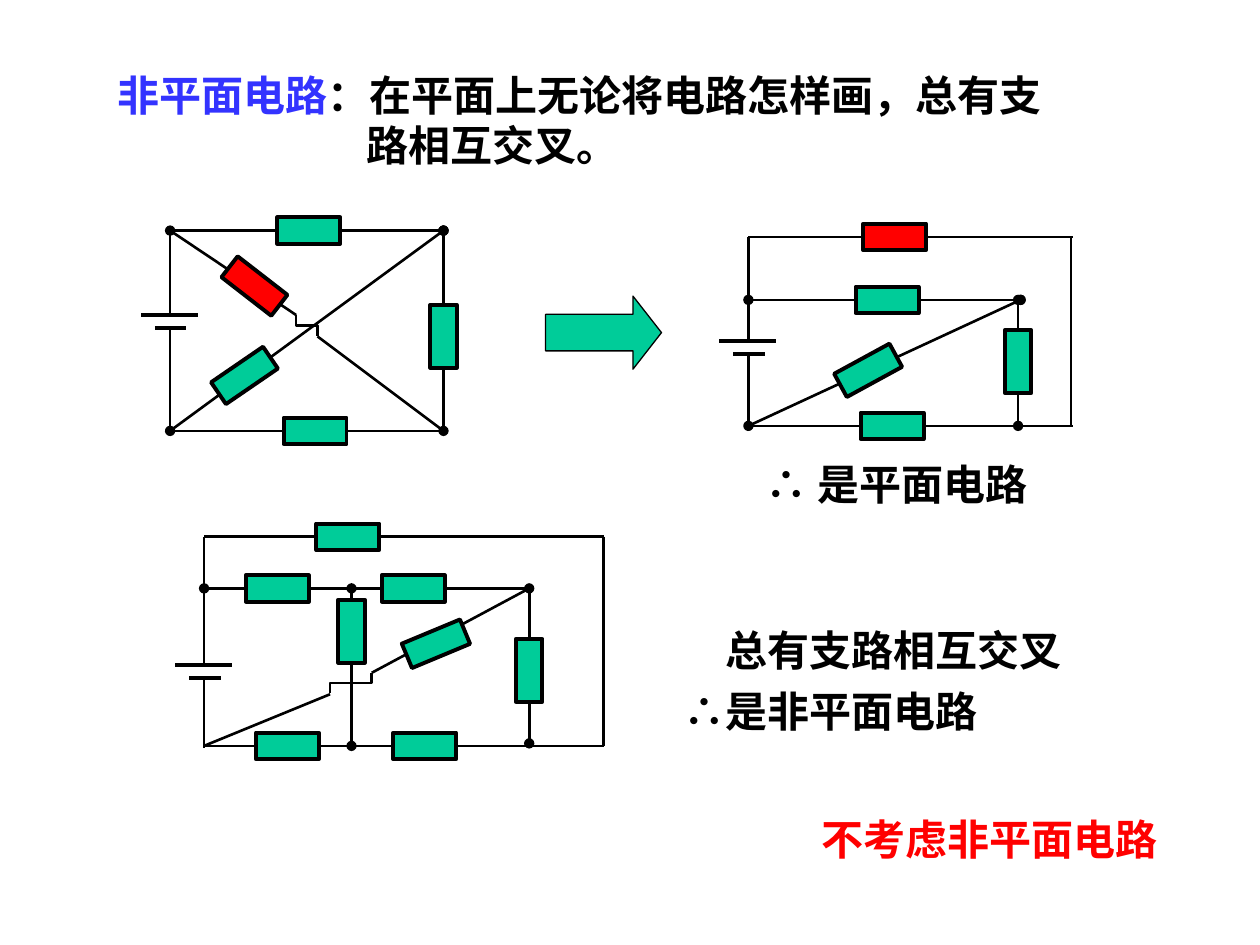
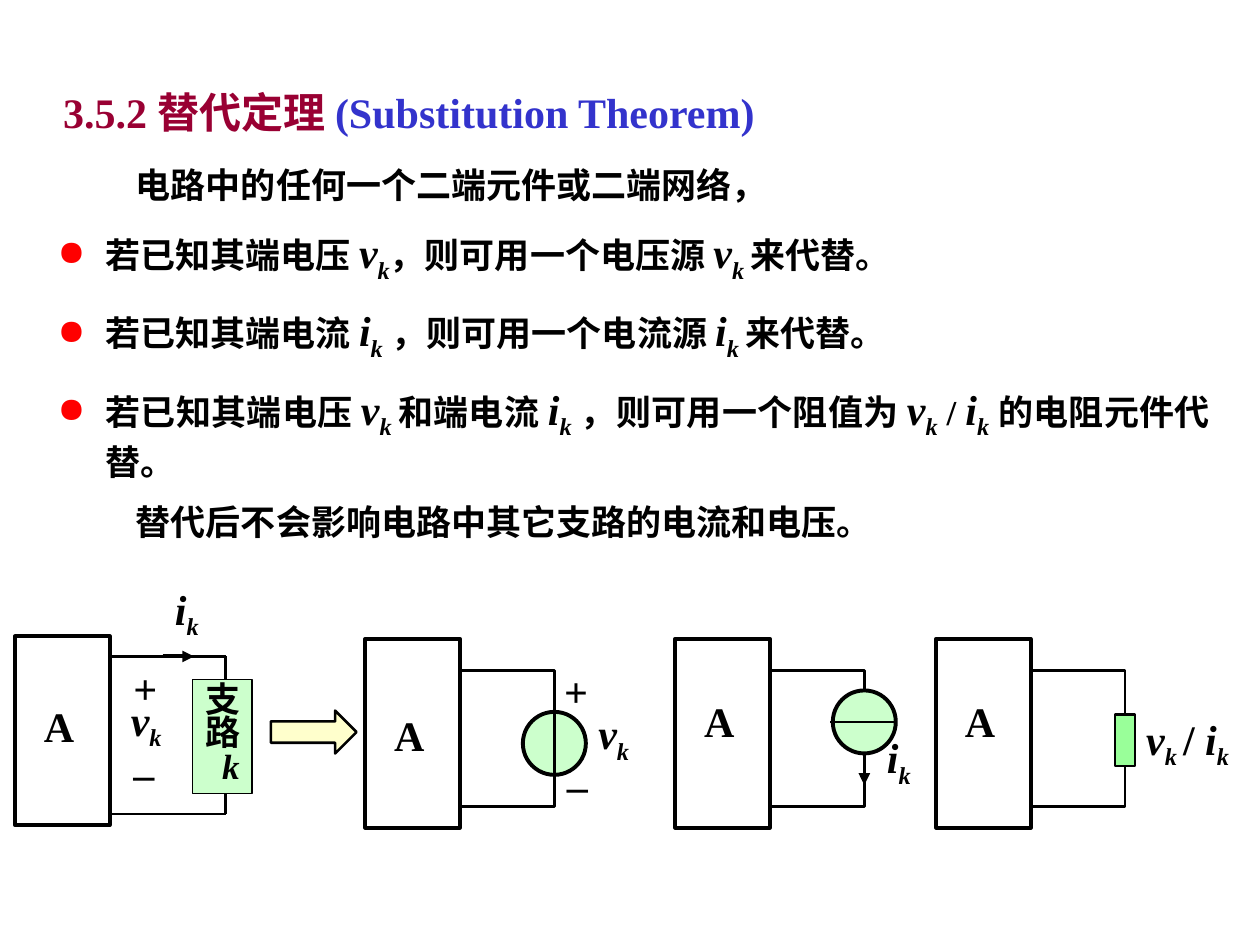
from dataclasses import dataclass
from typing import Any

from lxml.etree import SubElement
from pptx import Presentation
from pptx.dml.color import RGBColor
from pptx.enum.shapes import MSO_CONNECTOR, MSO_SHAPE
from pptx.enum.text import MSO_ANCHOR, PP_ALIGN
from pptx.oxml.ns import qn
from pptx.util import Inches, Pt

FONT = "Times New Roman"
BLACK = RGBColor(0x00, 0x00, 0x00)
RED = RGBColor(0xFF, 0x00, 0x00)
TEAL = RGBColor(0x00, 0xCC, 0x99)
TERM_BLUE = RGBColor(0x33, 0x33, 0xFF)
ENGLISH_BLUE = RGBColor(0x33, 0x33, 0xCC)
MAROON = RGBColor(0x99, 0x00, 0x33)
PALE_GREEN = RGBColor(0xCC, 0xFF, 0xCC)
MID_GREEN = RGBColor(0x99, 0xFF, 0x99)
CREAM = RGBColor(0xFF, 0xFF, 0xCC)

THIN, WIRE, BOLD = 0.75, 1.5, 2.25
LYING = 90
# A pair is an italic symbol with its subscript
VOLTAGE, CURRENT = ("v", "k"), ("i", "k")


# Text
def add_run(paragraph, text, size, color=BLACK, italic=False, subscript=False):
    run = paragraph.add_run()
    run.text = text
    font = run.font
    font.name, font.size, font.bold, font.italic = FONT, Pt(size), True, italic
    font.color.rgb = color
    if subscript:
        run._r.get_or_add_rPr().set("baseline", "-25000")


def add_parts(paragraph, parts, size=24, color=BLACK):
    for part in parts:
        if isinstance(part, tuple):
            symbol, index = part
            add_run(paragraph, symbol, 24, color, italic=True)
            add_run(paragraph, index, 24, color, italic=True, subscript=True)
        else:
            add_run(paragraph, part, size, color)


def set_indent(paragraph, left, first):
    properties = paragraph._p.get_or_add_pPr()
    properties.set("marL", str(Inches(left)))
    properties.set("indent", str(Inches(first)))
    return properties


def add_half_line_before(paragraph):
    spacing = SubElement(paragraph._p.get_or_add_pPr(), qn("a:spcBef"))
    SubElement(spacing, qn("a:spcPct")).set("val", "50000")


def add_bullet(paragraph):
    properties = set_indent(paragraph, 0.38, -0.38)
    color = SubElement(properties, qn("a:buClr"))
    SubElement(color, qn("a:srgbClr")).set("val", str(RED))
    SubElement(properties, qn("a:buChar")).set("char", "●")


def format_title(slide, box, anchor, parts):
    title = slide.shapes.title
    title.left, title.top, title.width, title.height = map(Inches, box)
    title.text_frame.word_wrap = True
    title.text_frame.vertical_anchor = anchor
    paragraph = title.text_frame.paragraphs[0]
    paragraph.alignment = PP_ALIGN.LEFT
    for text, color in parts:
        add_run(paragraph, text, 24, color)
    return paragraph


@dataclass
class Region:
    """Part of a slide; every place is measured from its left top corner."""
    slide: Any
    left: float
    top: float

    def place(self, x, y):
        return Inches(self.left + x), Inches(self.top + y)

    def connector(self, kind, start, end, width):
        wire = self.slide.shapes.add_connector(
            kind, *self.place(*start), *self.place(*end))
        wire.line.color.rgb = BLACK
        wire.line.width = Pt(width)
        SubElement(wire._element.spPr, qn("a:effectLst"))
        return wire

    def line(self, start, end, width=WIRE, head=None, tail=None):
        wire = self.connector(MSO_CONNECTOR.STRAIGHT, start, end, width)
        outline = wire.line._get_or_add_ln()
        for tag, mark in (("a:headEnd", head), ("a:tailEnd", tail)):
            if mark:
                SubElement(outline, qn(tag)).set("type", mark)

    def dotted(self, start, end):
        self.line(start, end, head="oval", tail="oval")

    def jump(self, start, end):
        """Elbow that leaves and arrives vertically: a quarter turn back."""
        (x1, y1), (x2, y2) = start, end
        x, y = (x1 + x2) / 2, (y1 + y2) / 2
        dx, dy = (x2 - x1) / 2, (y2 - y1) / 2
        elbow = self.connector(MSO_CONNECTOR.ELBOW, (x + dy, y - dx),
                               (x - dy, y + dx), WIRE)
        elbow._element.spPr.find(qn("a:xfrm")).set("rot", str(270 * 60000))

    def shape(self, kind, x, y, width, height, fill=None, outline=BOLD):
        part = self.slide.shapes.add_shape(
            kind, *self.place(x, y), Inches(width), Inches(height))
        part.shadow.inherit = False
        if fill is None:
            part.fill.background()
        else:
            part.fill.solid()
            part.fill.fore_color.rgb = fill
        part.line.color.rgb = BLACK
        part.line.width = Pt(outline)
        return part

    def resistor(self, x, y, turn=0, fill=TEAL):
        body = self.shape(MSO_SHAPE.RECTANGLE, x - 0.105, y - 0.25, 0.21, 0.5, fill)
        body.rotation = turn

    def battery(self, y):
        self.line((-0.23, y), (0.22, y), BOLD)
        self.line((-0.12, y + 0.1), (0.13, y + 0.1), BOLD)

    def label(self, x, y, width, *parts, height=0.5, wrap=True, color=BLACK):
        frame = self.slide.shapes.add_textbox(
            *self.place(x, y), Inches(width), Inches(height)).text_frame
        frame.word_wrap = wrap
        add_parts(frame.paragraphs[0], parts, color=color)
        return frame


# Slide 1: circuits
def crossed_circuit(slide, left, top):
    circuit = Region(slide, left, top)
    right, bottom = 2.17, 1.59
    circuit.battery(0.67)
    circuit.line((0, 0.77), (0, bottom))
    circuit.line((0, 0.67), (0, 0))
    circuit.dotted((0, 0), (right, 0))
    circuit.line((0, bottom), (right, bottom))
    circuit.dotted((right, 0), (right, bottom))
    circuit.dotted((0, bottom), (right, 0))
    circuit.line((0, 0), (1, 0.67))
    circuit.line((right, bottom), (1.17, 0.84))
    circuit.jump((1, 0.67), (1.17, 0.84))
    circuit.resistor(0.67, 0.44, 307.8, RED)
    circuit.resistor(right, 0.84)
    circuit.resistor(1.1, 0, LYING)
    circuit.resistor(1.15, bottom, LYING)
    circuit.resistor(0.59, 1.15, 55.6)


def planar_circuit(slide, left, top):
    circuit = Region(slide, left, top)
    middle, bottom, right, outer = 0.5, 1.5, 2.16, 2.58
    circuit.battery(0.83)
    circuit.line((0, 0.93), (0, bottom))
    circuit.line((0, 0.83), (0, middle))
    circuit.dotted((0, middle), (right, middle))
    circuit.line((0, bottom), (right, bottom))
    circuit.dotted((2.14, middle), (2.14, bottom))
    circuit.dotted((0, bottom), (right, middle))
    circuit.line((0, middle), (0, 0))
    circuit.line((right, bottom), (outer, bottom))
    circuit.line((2.56, 0), (2.56, bottom))
    circuit.line((0, 0), (outer, 0))
    circuit.resistor(2.14, 0.99)
    circuit.resistor(1.1, middle, LYING)
    circuit.resistor(1.14, bottom, LYING)
    circuit.resistor(0.95, 1.06, 61.4)
    circuit.resistor(1.16, 0, LYING, RED)
    circuit.label(0.04, 1.71, 2.3, "∴ 是平面电路", wrap=False)


def nonplanar_circuit(slide, left, top):
    circuit = Region(slide, left, top)
    middle, bottom, tap, right, outer = 0.41, 1.66, 1.17, 2.58, 3.17
    circuit.line((right, middle), (right, 1.64), tail="oval")
    circuit.battery(1.02)
    circuit.line((0, 1.12), (0, 1.68))
    circuit.dotted((0, middle), (right, middle))
    circuit.dotted((tap, middle), (tap, bottom))
    circuit.line((0, bottom), (1, 1.25))
    circuit.line((1.33, 1.08), (right, middle))
    circuit.jump((1, 1.24), (1.33, 1.08))
    circuit.line((0, 1), (0, 0))
    circuit.line((0, 0), (outer, 0))
    circuit.line((outer, 0), (outer, bottom))
    circuit.line((0, bottom), (outer, bottom))
    for x, y in ((0.58, middle), (1.66, middle), (1.14, 0),
                 (0.66, bottom), (1.75, bottom)):
        circuit.resistor(x, y, LYING)
    circuit.resistor(tap, 0.75)
    circuit.resistor(right, 1.06)
    circuit.resistor(1.84, 0.85, 67.4)

    verdict = circuit.label(3.71, 0.57, 3.22, "总有支路相互交叉",
                            height=1.06, wrap=False)
    set_indent(verdict.paragraphs[0], 0, 0.33)
    add_parts(verdict.add_paragraph(), ["∴是非平面电路"])
    for paragraph in verdict.paragraphs:
        paragraph.line_spacing = 1.2


def build_nonplanar_slide(slide):
    title = format_title(slide, (0.83, 0.5, 7.65, 0.9), MSO_ANCHOR.TOP, [
        ("非平面电路", TERM_BLUE),
        ("：在平面上无论将电路怎样画，总有支路相互交叉。", BLACK)])
    set_indent(title, 1.98, -1.98)
    crossed_circuit(slide, 1.35, 1.83)
    planar_circuit(slide, 5.94, 1.88)
    page = Region(slide, 0, 0)
    redraw = page.shape(MSO_SHAPE.RIGHT_ARROW, 4.33, 2.35, 0.92, 0.58, TEAL, THIN)
    redraw.adjustments[1] = 0.39
    nonplanar_circuit(slide, 1.62, 4.26)
    page.label(6.42, 6.41, 2.91, "不考虑非平面电路", wrap=False, color=RED)


# Slide 2: theorem and equivalent circuits
def theorem_text(slide, left, top):
    frame = Region(slide, left, top).label(0, 0, 9.34, height=3.1)
    statements = [
        (False, ["电路中的任何一个二端元件或二端网络，"]),
        (True, ["若已知其端电压 ", VOLTAGE, "，则可用一个电压源 ",
                ("v", "k "), "来代替。"]),
        (True, ["若已知其端电流 ", CURRENT, " ，则可用一个电流源 ",
                ("i", "k "), "来代替。"]),
        (True, ["若已知其端电压 ", ("v", "k "), "和端电流 ", CURRENT,
                " ，则可用一个阻值为 ", VOLTAGE, " / ", CURRENT,
                " 的电阻元件代替。"]),
        (False, ["替代后不会影响电路中其它支路的电流和电压。"]),
    ]
    for number, (bulleted, parts) in enumerate(statements):
        paragraph = frame.add_paragraph() if number else frame.paragraphs[0]
        paragraph.alignment = PP_ALIGN.JUSTIFY
        if number:
            add_half_line_before(paragraph)
        if bulleted:
            add_bullet(paragraph)
        else:
            set_indent(paragraph, 0, 0.62)
        add_parts(paragraph, parts, size=20)


def network(slide, left, top, name_top, loop=True):
    region = Region(slide, left, top)
    region.shape(MSO_SHAPE.RECTANGLE, 0, 0, 0.75, 1.5)
    if loop:
        region.shape(MSO_SHAPE.RECTANGLE, 0.75, 0.25, 0.75, 1.08, outline=WIRE)
    region.label(0.13, name_top, 0.5, "A")
    return region


def branch_circuit(slide, left, top):
    region = network(slide, left, top, 0.46, loop=False)
    for wire_y, branch_y in ((0.16, 0.41), (1.41, 1.25)):
        region.line((0.76, wire_y), (1.67, wire_y))
        region.line((1.67, wire_y), (1.67, branch_y))
    region.label(1.17, -0.47, 0.58, CURRENT)
    region.label(0.84, 0.16, 0.4, "+")
    region.label(0.84, 0.83, 0.42, "–")
    region.label(0.82, 0.41, 0.6, VOLTAGE)
    branch = region.shape(MSO_SHAPE.RECTANGLE, 1.41, 0.34, 0.47, 0.91,
                          PALE_GREEN, THIN).text_frame
    branch.vertical_anchor = MSO_ANCHOR.TOP
    for number, text in enumerate("支路k"):
        paragraph = branch.add_paragraph() if number else branch.paragraphs[0]
        paragraph.alignment = PP_ALIGN.RIGHT if text == "k" else PP_ALIGN.LEFT
        paragraph.line_spacing = 0.8
        add_run(paragraph, text, 20, italic=text == "k")
    region.line((1.17, 0.16), (1.42, 0.16), BOLD, tail="triangle")


def voltage_source_circuit(slide, left, top):
    region = network(slide, left, top, 0.51)
    region.shape(MSO_SHAPE.OVAL, 1.25, 0.58, 0.5, 0.5, PALE_GREEN)
    region.line((1.5, 0.56), (1.5, 1.09))
    region.label(1.48, 0.16, 0.4, "+")
    region.label(1.5, 0.91, 0.42, "–")
    region.label(1.75, 0.5, 0.6, VOLTAGE)


def current_source_circuit(slide, left, top):
    region = network(slide, left, top, 0.4)
    region.shape(MSO_SHAPE.OVAL, 1.25, 0.41, 0.5, 0.5, PALE_GREEN)
    region.line((1.23, 0.66), (1.76, 0.66))
    region.line((1.5, 1.08), (1.5, 1.16), BOLD, tail="triangle")
    region.label(1.58, 0.69, 0.68, CURRENT)


def resistor_circuit(slide, left, top):
    region = network(slide, left, top, 0.4)
    region.shape(MSO_SHAPE.RECTANGLE, 1.42, 0.6, 0.16, 0.41, MID_GREEN, WIRE)
    ratio = region.label(1.55, 0.54, 0.89, ("v", "k "), "/ ", CURRENT, wrap=False)
    ratio.paragraphs[0].alignment = PP_ALIGN.CENTER


def build_substitution_slide(slide):
    format_title(slide, (0.4, 0.64, 8.46, 0.5), MSO_ANCHOR.MIDDLE, [
        ("3.5.2 替代定理 ", MAROON), ("(Substitution Theorem)", ENGLISH_BLUE)])
    theorem_text(slide, 0.36, 1.25)
    branch_circuit(slide, 0.12, 5.05)
    Region(slide, 2.15, 5.64).shape(
        MSO_SHAPE.RIGHT_ARROW, 0, 0, 0.68, 0.34, CREAM, WIRE)
    voltage_source_circuit(slide, 2.9, 5.07)
    current_source_circuit(slide, 5.36, 5.07)
    resistor_circuit(slide, 7.43, 5.07)


def main():
    deck = Presentation()
    deck.slide_width, deck.slide_height = Inches(10), Inches(7.5)
    title_only = deck.slide_layouts[5]
    for build in (build_nonplanar_slide, build_substitution_slide):
        build(deck.slides.add_slide(title_only))
    deck.save("out.pptx")


if __name__ == "__main__":
    main()
